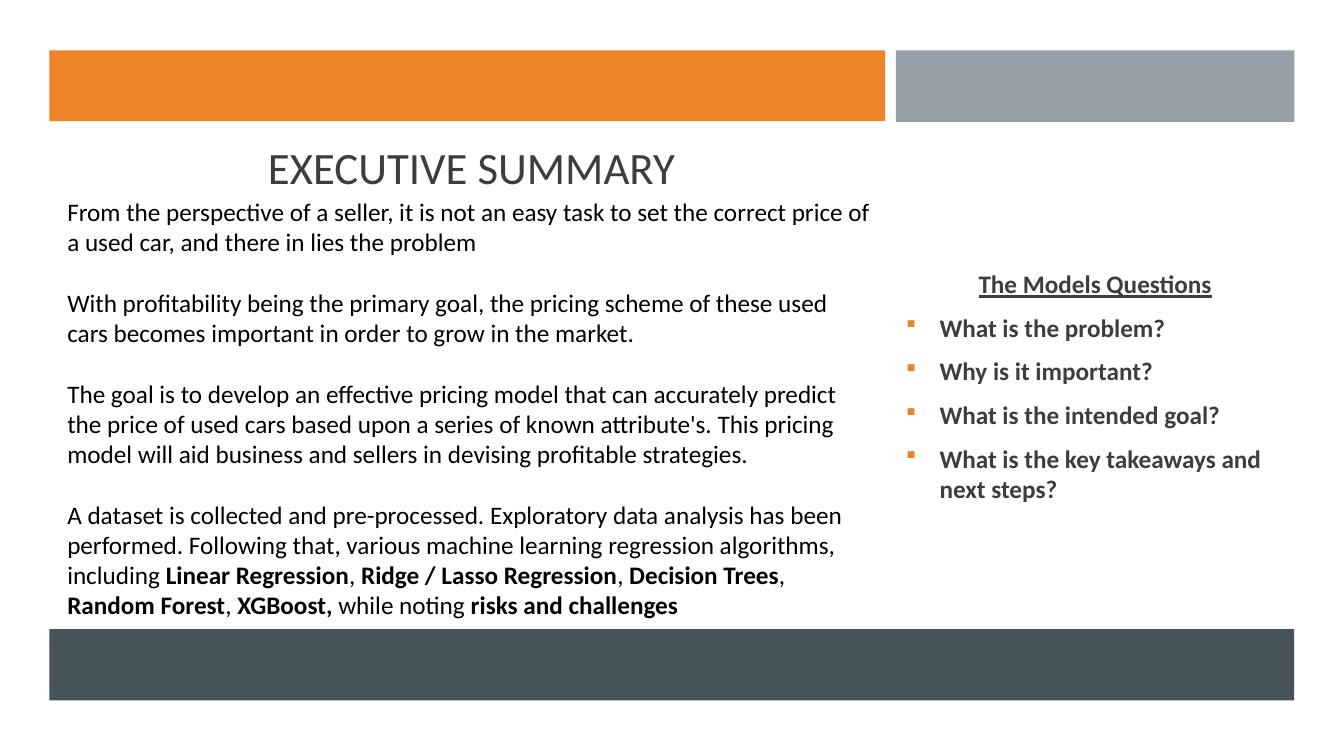
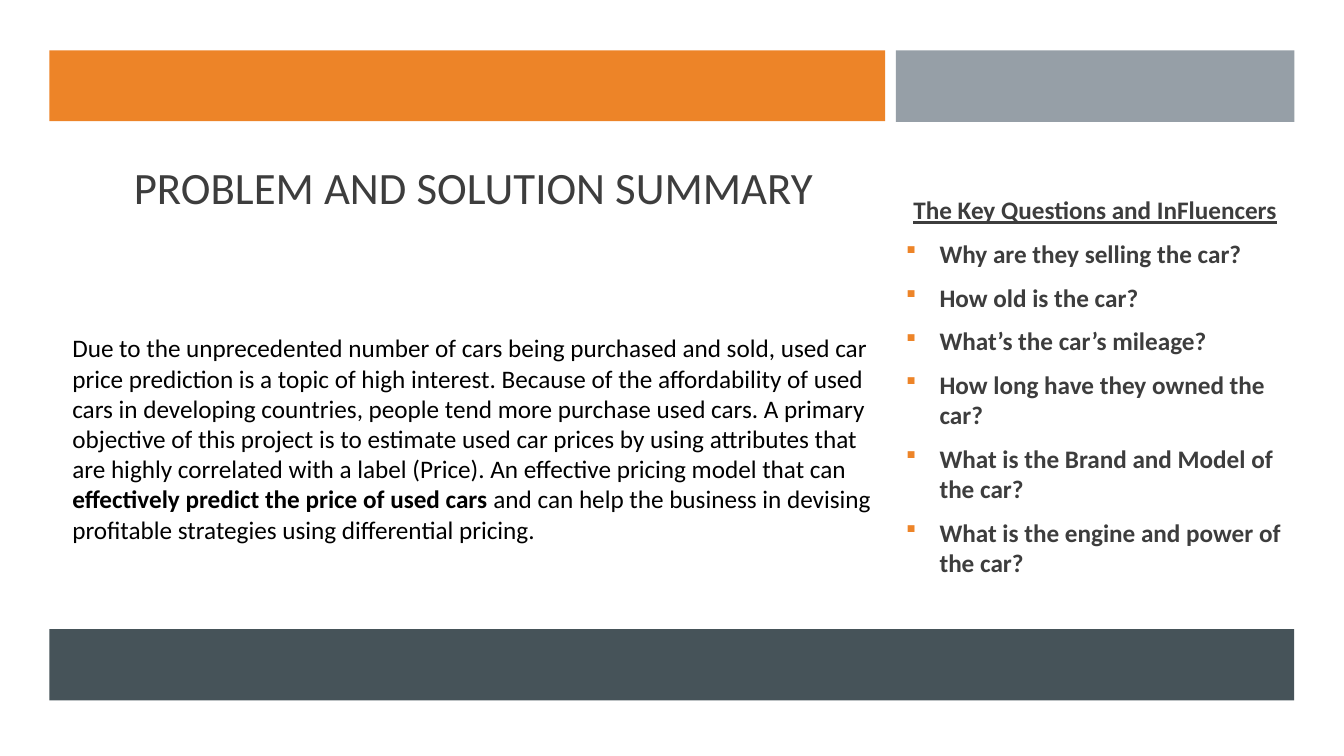
"""Build two summary slides on used car pricing."""
from lxml import etree
from pptx import Presentation
from pptx.dml.color import RGBColor
from pptx.enum import shapes, text
from pptx.oxml.ns import qn
from pptx.util import Pt

COLORS = {"orange": "ED8428", "gray": "969FA7", "slate": "465359",
          "heading": "3D3D3D", "body": "000000", "page": "FFFFFF"}
FONT = "Calibri"
LINE = 21.6
INDENT = 24
BANDS = [("orange", 35.3, 36, 597, 50.5),
         ("gray", 640, 36, 284.5, 51),
         ("slate", 35.3, 449.3, 889.2, 51)]
QUESTION_BOX = (640, 122.4, 284.5, 306.7)
SLIDES = [
    {"title": "EXECUTIVE SUMMARY",
     "title_box": (43.2, 88.6, 587.5, 60.5),
     "body_box": (41, 136.8, 588.2, 346.3),
     "body": [
         "From the perspective of a seller, it is not an easy task to set the correct price of "
         "a used car, and there in lies the problem",
         "With profitability being the primary goal, the pricing scheme of these used cars "
         "becomes important in order to grow in the market.",
         "The goal is to develop an effective pricing model that can accurately predict the "
         "price of used cars based upon a series of known attribute's. This pricing model will "
         "aid business and sellers in devising profitable strategies.",
         "A dataset is collected and pre-processed. Exploratory data analysis has been "
         "performed. Following that, various machine learning regression algorithms, including "
         "**Linear Regression**, **Ridge / Lasso Regression**, **Decision Trees**, "
         "**Random Forest**, **XGBoost, **while noting **risks and challenges**"],
     "heading": "The Models Questions",
     "questions": ["What is the problem?", "Why is it important?",
                   "What is the intended goal?",
                   "What is the key takeaways and next steps?"]},
    {"title": "PROBLEM AND SOLUTION SUMMARY",
     "title_box": (44.6, 103, 587.5, 60.5),
     "body_box": (44.6, 234, 588.2, 159.8),
     "body": [
         "Due to the unprecedented number of cars being purchased and sold, used car price "
         "prediction is a topic of high interest. Because of the affordability of used cars in "
         "developing countries, people tend more purchase used cars. A primary objective of "
         "this project is to estimate used car prices by using attributes that are highly "
         "correlated with a label (Price). An effective pricing model that can "
         "**effectively predict the price of used cars** and can help the business in devising "
         "profitable strategies using differential pricing."],
     "heading": "The Key Questions and InFluencers",
     "questions": ["Why are they selling the car?", "How old is the car?",
                   "What’s the car’s mileage?", "How long have they owned the car?",
                   "What is the Brand and Model of the car?",
                   "What is the engine and power of the car?"]},
]


def color(name):
    return RGBColor.from_string(COLORS[name])


def place(shape, box):
    shape.left, shape.top, shape.width, shape.height = map(Pt, box)


def prepare(frame, anchor):
    frame.word_wrap = True
    frame.auto_size = text.MSO_AUTO_SIZE.NONE
    frame.vertical_anchor = anchor


def write(para, words, size=18, ink="body", bold=False, underline=False,
          align=text.PP_ALIGN.LEFT, before=0, after=0):
    """Fill a paragraph; words between double asterisks become bold."""
    para.alignment = align
    para.space_before, para.space_after = Pt(before), Pt(after)
    for index, part in enumerate(words.split("**")):
        if part:
            span = para.add_run()
            span.text = part
            span.font.name, span.font.size = FONT, Pt(size)
            span.font.color.rgb = color(ink)
            span.font.bold = bold or index % 2 == 1
            span.font.underline = underline


def add_bullet(para):
    props = para._p.get_or_add_pPr()
    props.set("marL", str(Pt(INDENT)))
    props.set("indent", str(-Pt(INDENT)))
    tint = etree.SubElement(props, qn("a:buClr"))
    etree.SubElement(tint, qn("a:srgbClr"), val=COLORS["orange"])
    etree.SubElement(props, qn("a:buSzPct"), val="92000")
    etree.SubElement(props, qn("a:buFont"), typeface="Wingdings")
    etree.SubElement(props, qn("a:buChar"), char="§")


def add_paragraphs(frame, count):
    return [frame.paragraphs[0]] + [frame.add_paragraph() for _ in range(count - 1)]


def add_text_box(page, box, anchor):
    frame = page.shapes.add_textbox(*map(Pt, box)).text_frame
    prepare(frame, anchor)
    return frame


def add_bands(page):
    for name, *box in BANDS:
        band = page.shapes.add_shape(shapes.MSO_SHAPE.RECTANGLE, *map(Pt, box))
        band.shadow.inherit = False
        band.fill.solid()
        band.fill.fore_color.rgb = color(name)
        band.line.fill.background()


def add_page(deck, content):
    page = deck.slides.add_slide(deck.slide_layouts[5])
    page.background.fill.solid()
    page.background.fill.fore_color.rgb = color("page")
    add_bands(page)

    title = page.shapes.title
    place(title, content["title_box"])
    prepare(title.text_frame, text.MSO_ANCHOR.MIDDLE)
    write(title.text_frame.paragraphs[0], content["title"], size=32, ink="heading",
          align=text.PP_ALIGN.CENTER)

    frame = add_text_box(page, QUESTION_BOX, text.MSO_ANCHOR.MIDDLE)
    style = {"ink": "heading", "bold": True, "before": 3.6, "after": 6}
    heading, *bullets = add_paragraphs(frame, len(content["questions"]) + 1)
    write(heading, content["heading"], underline=True, align=text.PP_ALIGN.CENTER, **style)
    for para, question in zip(bullets, content["questions"]):
        write(para, question, **style)
        add_bullet(para)

    frame = add_text_box(page, content["body_box"], text.MSO_ANCHOR.TOP)
    for para, words in zip(add_paragraphs(frame, len(content["body"])), content["body"]):
        write(para, words, after=LINE)


def main():
    deck = Presentation()
    deck.slide_width, deck.slide_height = Pt(960), Pt(540)
    for content in SLIDES:
        add_page(deck, content)
    deck.save("out.pptx")


if __name__ == "__main__":
    main()
